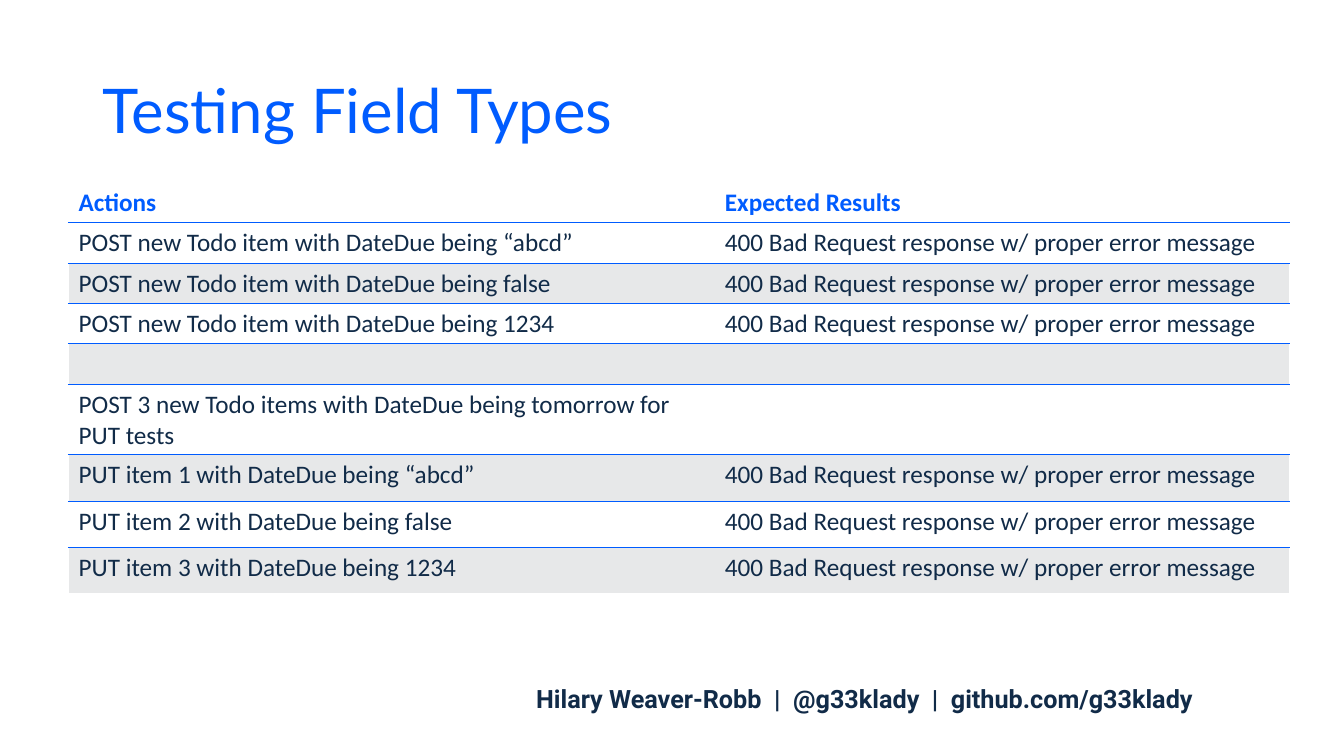
"""Build the slide "Testing Field Types" with its table of test actions."""
from lxml import etree
from pptx import Presentation
from pptx.dml.color import RGBColor
from pptx.enum.text import MSO_ANCHOR, PP_ALIGN
from pptx.oxml.ns import qn
from pptx.util import Inches, Pt

LEFT, CENTER = PP_ALIGN.LEFT, PP_ALIGN.CENTER
MIDDLE = MSO_ANCHOR.MIDDLE
COLORS = {"blue": "005CFF", "navy": "112B48", "band": "E7E8E9", "white": "FFFFFF"}
ERROR = "400 Bad Request response w/ proper error message"
ROWS = [
    ("Actions", "Expected Results"),
    ("POST new Todo item with DateDue being “abcd”", ERROR),
    ("POST new Todo item with DateDue being false", ERROR),
    ("POST new Todo item with DateDue being 1234", ERROR),
    ("", ""),
    ("POST 3 new Todo items with DateDue being tomorrow for PUT tests", ""),
    ("PUT item 1 with DateDue being “abcd”", ERROR),
    ("PUT item 2 with DateDue being false", ERROR),
    ("PUT item 3 with DateDue being 1234", ERROR),
]


def format_runs(p, font, size, color, bold=False):
    for r in p.runs:
        r.font.name = font
        r.font.size = Pt(size)
        r.font.bold = bold
        r.font.color.rgb = RGBColor.from_string(COLORS[color])


def add_border(cell, side, color):
    ln = etree.SubElement(cell._tc.get_or_add_tcPr(), qn(f"a:ln{side}"), w=str(Pt(1)))
    if color is None:
        etree.SubElement(ln, qn("a:noFill"))
    else:
        fill = etree.SubElement(ln, qn("a:solidFill"))
        etree.SubElement(fill, qn("a:srgbClr"), val=COLORS[color])


prs = Presentation()
prs.slide_width, prs.slide_height = Inches(13.33), Inches(7.5)
s = prs.slides.add_slide(prs.slide_layouts[5])

title = s.shapes.title
title.left, title.top = Inches(0.92), Inches(0.4)
title.width, title.height = Inches(11.5), Inches(1.45)
tf = title.text_frame
tf.text = "Testing Field Types"
tf.vertical_anchor = MIDDLE
p = tf.paragraphs[0]
p.alignment = LEFT
p.line_spacing = 0.9
format_runs(p, "Lato", 44, "blue")

footer = s.shapes.add_textbox(Inches(4.07), Inches(6.73), Inches(9.01), Inches(0.4))
tf = footer.text_frame
tf.word_wrap = True
tf.text = "Hilary Weaver-Robb  |  @g33klady  |  github.com/g33klady"
p = tf.paragraphs[0]
p.alignment = CENTER
format_runs(p, "Roboto", 18, "navy", bold=True)

table = s.shapes.add_table(len(ROWS), 2, Inches(0.68), Inches(1.81),
                           Inches(12.11), Inches(3.72)).table
table.horz_banding = False
for column, width in zip(table.columns, (6.41, 5.7)):
    column.width = Inches(width)

last = len(ROWS) - 1
for i, texts in enumerate(ROWS):
    table.rows[i].height = Inches(0.39 if i < 6 else 0.46)
    for j, text in enumerate(texts):
        cell = table.cell(i, j)
        cell.text = text
        format_runs(cell.text_frame.paragraphs[0], "Calibri", 18,
                    "navy" if i else "blue", bold=i == 0)
        add_border(cell, "L", None if j else "white")
        add_border(cell, "R", "white" if j else None)
        add_border(cell, "T", "blue" if i else "white")
        add_border(cell, "B", "blue" if i < last else "white")
        banded = i > 0 and i % 2 == 0
        cell.fill.solid()
        cell.fill.fore_color.rgb = RGBColor.from_string(COLORS["band" if banded else "white"])

prs.save("out.pptx")
